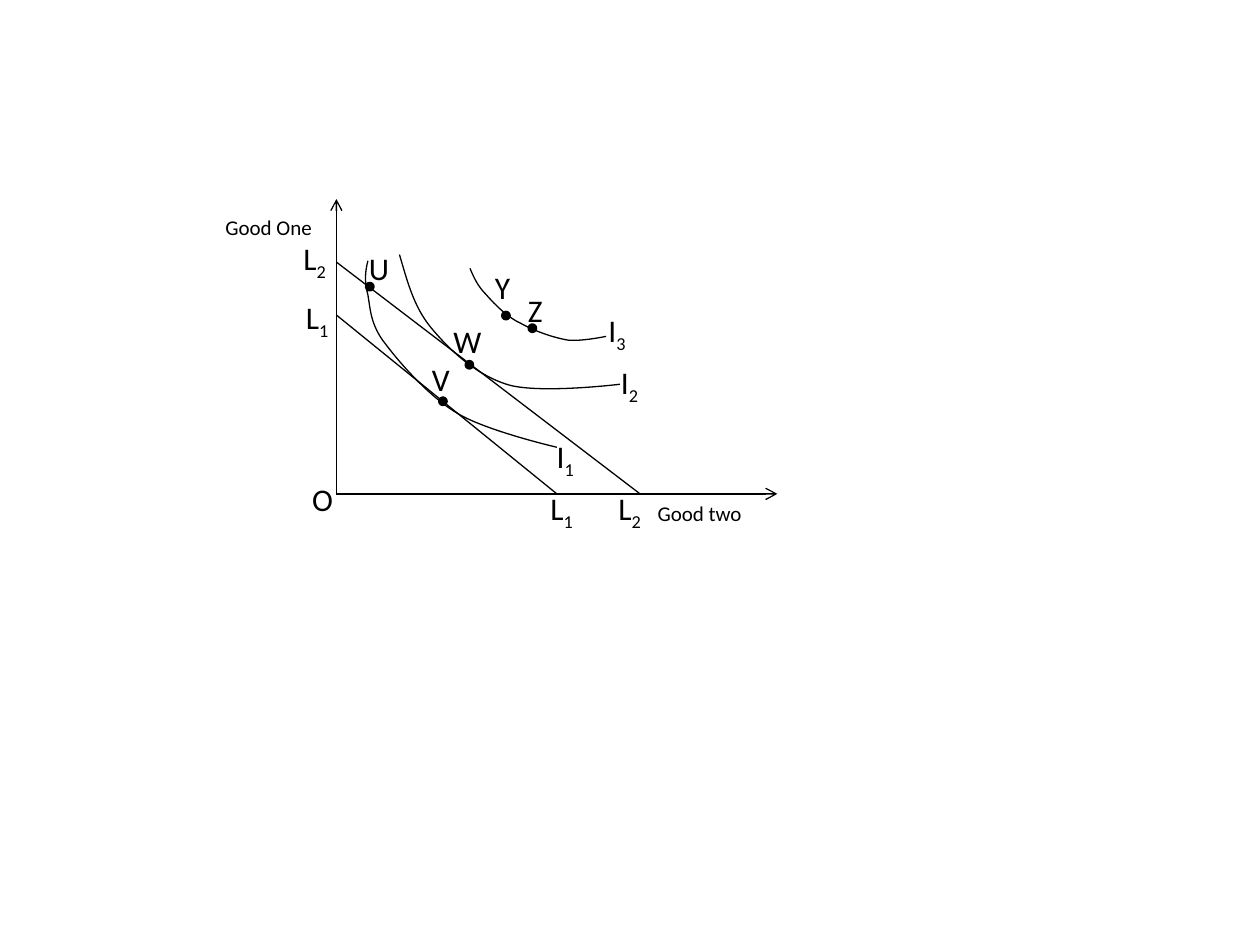
import pptx
import pptx.util
import pptx.dml.color
import pptx.enum.shapes
import pptx.enum.text
import pptx.oxml
import pptx.oxml.ns
from pptx.util import Inches

COLORS = {"ink": "000000"}
FONT = "Calibri"
ORIGIN = (2.67, 3.92)
DOT_SIZE = 0.05

AXIS_ENDS = [(2.67, 1.58), (6.17, 3.92)]
BUDGET_LINES = [((2.67, 2.5), (4.42, 3.92)), ((2.67, 2.08), (5.08, 3.92))]

# Each curve is a start point followed by three points per Bezier segment.
INDIFFERENCE_CURVES = [
    [(2.92, 2.07), (2.9, 2.15), (2.89, 2.23), (2.92, 2.34),
     (2.94, 2.45), (2.94, 2.58), (3.06, 2.73),
     (3.18, 2.89), (3.41, 3.15), (3.63, 3.28),
     (3.86, 3.42), (4.42, 3.55), (4.42, 3.55)],
    [(3.17, 2.02), (3.23, 2.22), (3.28, 2.43), (3.42, 2.6),
     (3.56, 2.77), (3.77, 2.97), (4.02, 3.05),
     (4.26, 3.13), (4.92, 3.05), (4.92, 3.05)],
    [(3.73, 2.13), (3.76, 2.2), (3.79, 2.27), (3.86, 2.34),
     (3.93, 2.42), (4.03, 2.52), (4.14, 2.57),
     (4.25, 2.63), (4.39, 2.68), (4.51, 2.7),
     (4.62, 2.71), (4.81, 2.67), (4.81, 2.67)],
]

BUNDLE_DOTS = [(3.49, 3.16), (3.7, 2.87), (2.91, 2.25), (3.99, 2.48), (4.2, 2.58)]

# text, subscript, left, top, width
POINT_LABELS = [
    ("Y", "", 3.83, 2.08, 0.32),
    ("Z", "", 4.09, 2.26, 0.32),
    ("W", "", 3.5, 2.51, 0.43),
    ("V", "", 3.33, 2.81, 0.35),
    ("U", "", 2.83, 1.93, 0.36),
    ("I", "2", 4.83, 2.83, 0.35),
    ("I", "3", 4.73, 2.42, 0.35),
    ("I", "1", 4.32, 3.42, 0.35),
    ("L", "2", 4.81, 3.83, 0.39),
    ("L", "1", 4.27, 3.83, 0.39),
    ("L", "1", 2.33, 2.32, 0.39),
    ("L", "2", 2.31, 1.85, 0.39),
    ("O", "", 2.38, 3.76, 0.37),
]
AXIS_LABELS = [
    ("Good two", "", 5.12, 3.92, 0.88),
    ("Good One", "", 1.69, 1.65, 0.9),
]


def ink():
    return pptx.dml.color.RGBColor.from_string(COLORS["ink"])


def set_line(sp, width=0.75):
    sp.line.color.rgb = ink()
    sp.line.width = pptx.util.Pt(width)


def append_xml(parent, tag, attributes=""):
    namespace = pptx.oxml.ns.nsdecls("a")
    parent.append(pptx.oxml.parse_xml(f"<a:{tag} {namespace} {attributes}/>"))


def add_line(slide, start, end, arrow=False):
    kind = pptx.enum.shapes.MSO_CONNECTOR.STRAIGHT
    sp = slide.shapes.add_connector(kind, *map(Inches, start + end))
    set_line(sp)
    spPr = sp._element.spPr
    if arrow:
        append_xml(spPr.find(pptx.oxml.ns.qn("a:ln")), "tailEnd", 'type="arrow"')
    append_xml(spPr, "effectLst")


def add_curve(slide, points):
    """Draw the control polygon, then turn every three segments into a Bezier."""
    scaled = [(Inches(x), Inches(y)) for x, y in points]
    builder = slide.shapes.build_freeform(*scaled[0])
    builder.add_line_segments(scaled[1:], close=False)
    sp = builder.convert_to_shape()
    qn = pptx.oxml.ns.qn
    path = next(sp._element.iter(qn("a:path")))
    segments = path.findall(qn("a:lnTo"))
    for i in range(0, len(segments), 3):
        bezier = path.makeelement(qn("a:cubicBezTo"), {})
        for segment in segments[i:i + 3]:
            bezier.append(segment[0])
            path.remove(segment)
        path.append(bezier)
    sp.fill.background()
    sp.shadow.inherit = False
    set_line(sp)


def add_dot(slide, left, top):
    sp = slide.shapes.add_shape(
        pptx.enum.shapes.MSO_SHAPE.OVAL,
        Inches(left), Inches(top), Inches(DOT_SIZE), Inches(DOT_SIZE))
    sp.fill.solid()
    sp.fill.fore_color.rgb = ink()
    sp.shadow.inherit = False
    set_line(sp, 2)


def add_label(slide, text, subscript, left, top, width, height, size):
    sp = slide.shapes.add_textbox(*map(Inches, (left, top, width, height)))
    tf = sp.text_frame
    tf.word_wrap = False
    tf.auto_size = pptx.enum.text.MSO_AUTO_SIZE.SHAPE_TO_FIT_TEXT
    p = tf.paragraphs[0]
    for part, baseline in ((text, None), (subscript, "-25000")):
        if not part:
            continue
        r = p.add_run()
        r.text = part
        r.font.name = FONT
        r.font.size = pptx.util.Pt(size)
        r.font.color.rgb = ink()
        if baseline:
            r._r.get_or_add_rPr().set("baseline", baseline)


def main():
    prs = pptx.Presentation()
    prs.slide_width, prs.slide_height = Inches(10), Inches(7.5)
    slide = prs.slides.add_slide(prs.slide_layouts[6])
    for end in AXIS_ENDS:
        add_line(slide, ORIGIN, end, arrow=True)
    for start, end in BUDGET_LINES:
        add_line(slide, start, end)
    for points in INDIFFERENCE_CURVES:
        add_curve(slide, points)
    for left, top in BUNDLE_DOTS:
        add_dot(slide, left, top)
    for label in POINT_LABELS:
        add_label(slide, *label, height=0.4, size=18)
    for label in AXIS_LABELS:
        add_label(slide, *label, height=0.3, size=12)
    prs.save("out.pptx")


if __name__ == "__main__":
    main()
